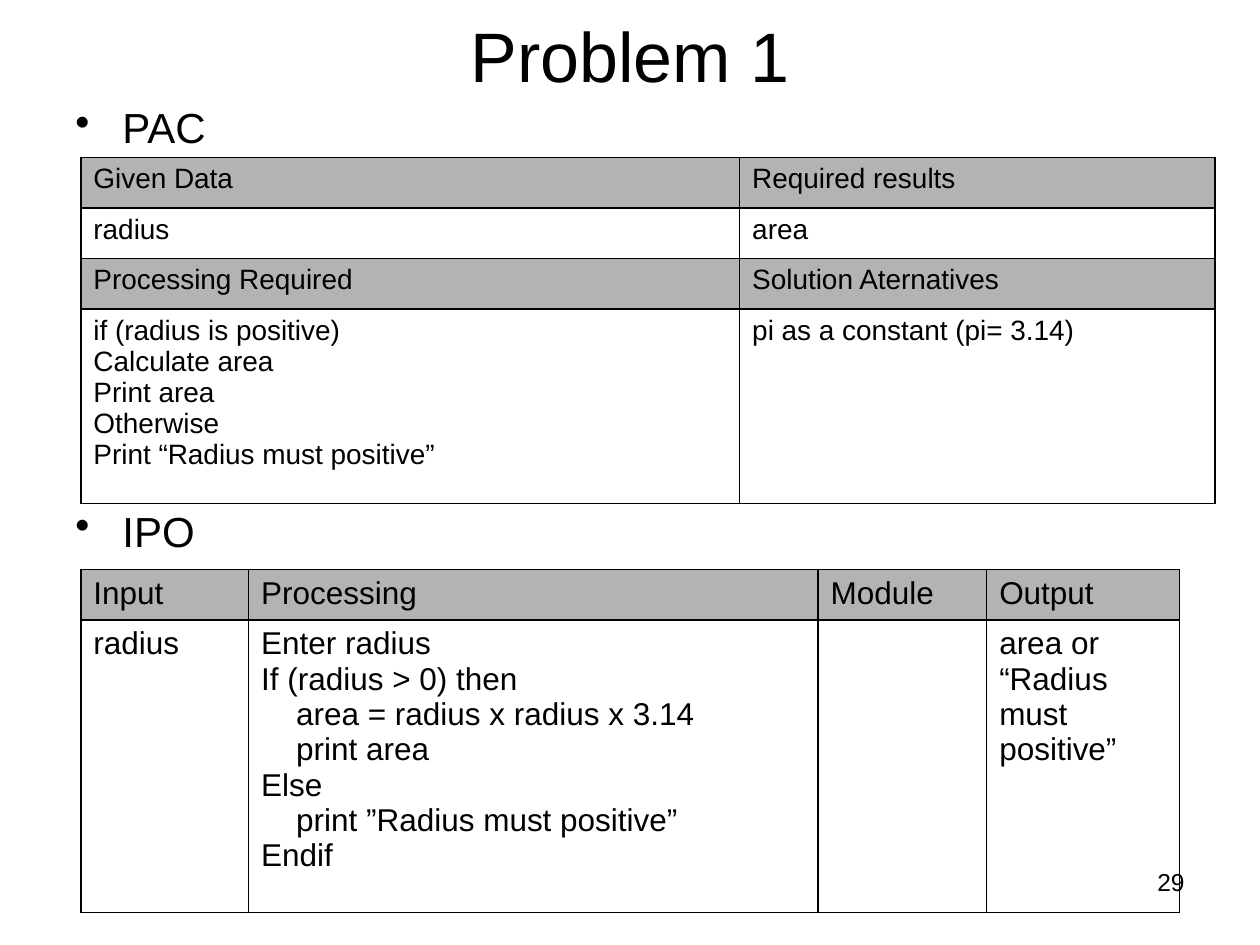
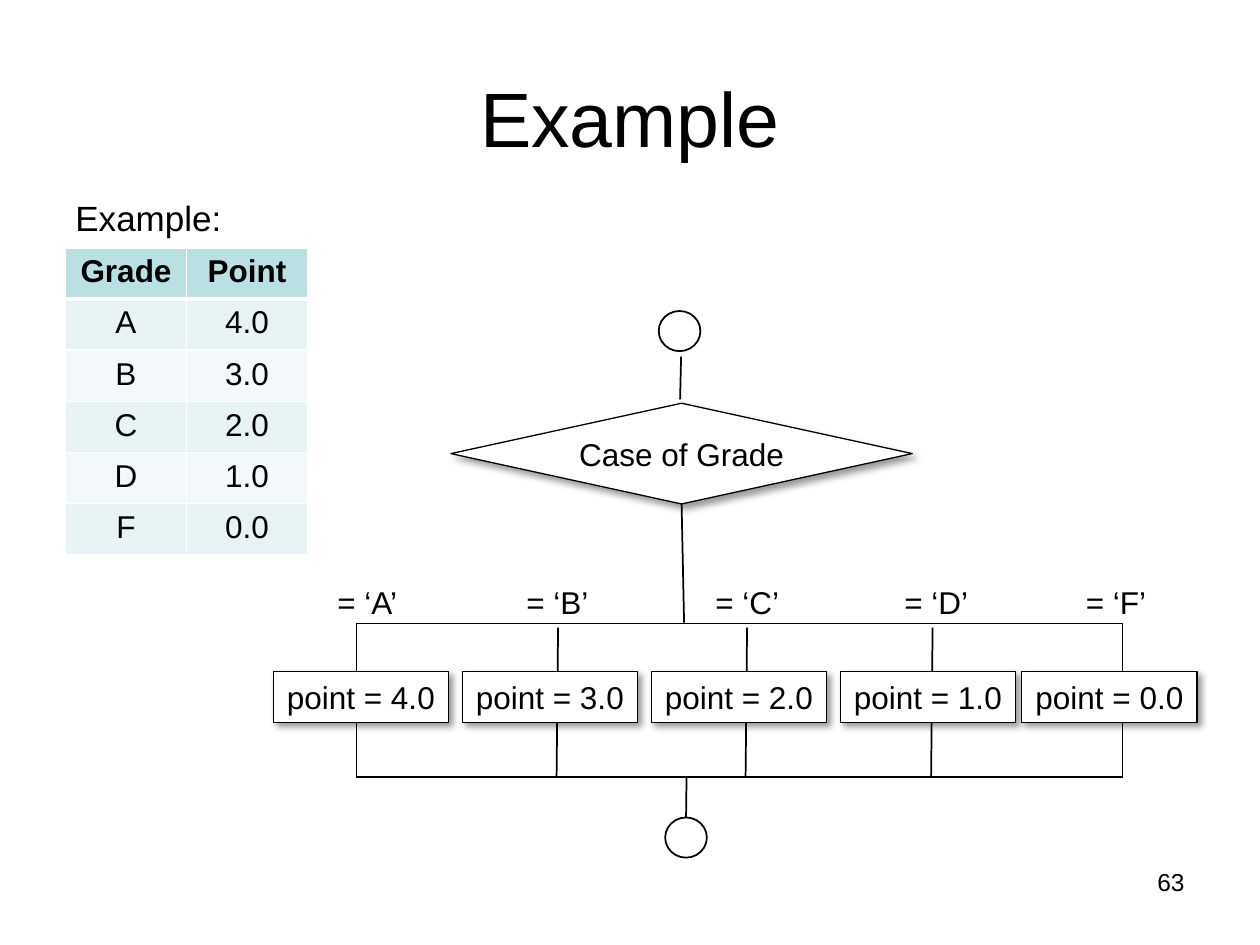
from lxml import etree
from pptx import Presentation
from pptx.dml.color import RGBColor
from pptx.enum.shapes import MSO_CONNECTOR, MSO_SHAPE
from pptx.enum.text import MSO_ANCHOR, MSO_AUTO_SIZE, PP_ALIGN
from pptx.oxml import parse_xml
from pptx.oxml.ns import nsdecls, qn
from pptx.util import Cm, Pt

rgb = RGBColor.from_string
FONT = "Arial"
BLACK = "000000"
WHITE = "FFFFFF"
GREY = "B3B3B3"
TEAL, TEAL_MID, TEAL_PALE = "BBE0E3", "E7F3F4", "F3F9FA"
LEFT, CENTER, RIGHT = PP_ALIGN.LEFT, PP_ALIGN.CENTER, PP_ALIGN.RIGHT


def write(tf, text, size, align=LEFT, bold=False):
    tf.text = text
    for p in tf.paragraphs:
        p.alignment = align
        for r in p.runs:
            r.font.name = FONT
            r.font.size = Pt(size)
            r.font.bold = bold
            r.font.color.rgb = rgb(BLACK)


def add_grid(slide, left, top, widths, heights, rows, fills, size,
             align=LEFT, bold_head=False, edge=BLACK, head_rule=1):
    frame = slide.shapes.add_table(len(rows), len(widths), Cm(left), Cm(top),
                                   Cm(sum(widths)), Cm(sum(heights)))
    table = frame.table
    table.first_row = table.horz_banding = False
    for column, width in zip(table.columns, widths):
        column.width = Cm(width)
    for i, (row, height, fill) in enumerate(zip(rows, heights, fills)):
        table.rows[i].height = Cm(height)
        for j, text in enumerate(row):
            cell = table.cell(i, j)
            write(cell.text_frame, text, size, align, bold_head and i == 0)
            tcPr = cell._tc.get_or_add_tcPr()
            for side in "LRTB":
                on_head_rule = (i, side) in ((0, "B"), (1, "T"))
                width = Pt(head_rule if on_head_rule else 1)
                tcPr.append(parse_xml(
                    f'<a:ln{side} {nsdecls("a")} w="{width}"><a:solidFill>'
                    f'<a:srgbClr val="{edge}"/></a:solidFill></a:ln{side}>'))
            if fill:
                cell.fill.solid()
                cell.fill.fore_color.rgb = rgb(fill)
            else:
                cell.fill.background()


prs = Presentation()
prs.slide_width, prs.slide_height = Cm(25.4), Cm(19.05)

slides = []
for title, top, height, size, number in (("Problem 1", 0.03, 2.13, 40, "29"),
                                         ("Example", 0.76, 3.18, 44, "63")):
    s = prs.slides.add_slide(prs.slide_layouts[5])
    sp = s.shapes.title
    sp.left, sp.top, sp.width, sp.height = Cm(1.27), Cm(top), Cm(22.86), Cm(height)
    tf = sp.text_frame
    tf.auto_size = MSO_AUTO_SIZE.NONE
    tf.vertical_anchor = MSO_ANCHOR.MIDDLE
    write(tf, title, size, CENTER)
    slides.append((s, number))
(problem, _), (example, _) = slides

tf = problem.shapes.add_textbox(Cm(1.27), Cm(1.93), Cm(22.86), Cm(12.57)).text_frame
tf.word_wrap = True
write(tf, "PAC\nIPO", 24)
for p in tf.paragraphs:
    pPr = p._p.get_or_add_pPr()
    pPr.set("marL", str(Cm(0.95)))
    pPr.set("indent", str(Cm(-0.95)))
    etree.SubElement(pPr, qn("a:buChar")).set("char", "•")
tf.paragraphs[1].space_before = Pt(202)

tf = example.shapes.add_textbox(Cm(1.27), Cm(3.84), Cm(15.24), Cm(1.1)).text_frame
tf.word_wrap = True
write(tf, "Example:", 20)

for s, number in slides:
    tf = s.shapes.add_textbox(Cm(18.2), Cm(17.35), Cm(5.93), Cm(1.32)).text_frame
    tf.word_wrap = True
    write(tf, number, 14, RIGHT)

pac_rows = [
    ["Given Data", "Required results"],
    ["radius", "area"],
    ["Processing Required", "Solution Aternatives"],
    ["if (radius is positive)\nCalculate area\nPrint area\nOtherwise\n"
     "Print “Radius must positive”", "pi as a constant (pi= 3.14)"],
]
add_grid(problem, 1.63, 3.17, [13.28, 9.58], [1.02, 1.02, 1.02, 3.92], pac_rows,
         [GREY, None, GREY, None], 16)

ipo_rows = [
    ["Input", "Processing", "Module", "Output"],
    ["radius",
     "Enter radius\nIf (radius > 0) then\n    area = radius x radius x 3.14\n"
     "    print area\nElse\n    print ”Radius must positive”\nEndif",
     "", "area or “Radius must positive”"],
]
add_grid(problem, 1.63, 11.48, [3.38, 11.48, 3.4, 3.89], [1.02, 5.89], ipo_rows,
         [GREY, None], 18)

grades = [("A", "4.0"), ("B", "3.0"), ("C", "2.0"), ("D", "1.0"), ("F", "0.0")]
add_grid(example, 1.32, 5, [2.44] * 2, [1.03] * 6, [("Grade", "Point")] + grades,
         [TEAL] + [TEAL_MID, TEAL_PALE] * 2 + [TEAL_MID], 18, CENTER, True, WHITE, 3)

lines = [((x, 12.65), (x - 0.03, 15.65)) for x in (11.25, 15.06, 18.8)]
lines += [((13.74, 10.16), (13.79, 12.55)),
          ((13.84, 15.65), (13.83, 16.48)),
          ((13.73, 7.19), (13.71, 8.05))]
connectors = []
for start, end in lines:
    c = example.shapes.add_connector(MSO_CONNECTOR.STRAIGHT, *map(Cm, start + end))
    c.line.color.rgb = rgb(BLACK)
    c.line.width = Pt(1)
    etree.SubElement(c._element.spPr, qn("a:effectLst"))
    connectors.append(c)

box_lefts = [5.51 + 3.81 * i for i in range(4)] + [20.6]
flow = [
    (MSO_SHAPE.DIAMOND, 9.09, 8.13, 9.3, 2.03, "Case of Grade"),
    (MSO_SHAPE.RECTANGLE, 7.19, 12.57, 15.44, 3.1, ""),
    (MSO_SHAPE.OVAL, 13.28, 6.27, 0.84, 0.81, ""),
    (MSO_SHAPE.OVAL, 13.41, 16.48, 0.84, 0.81, ""),
]
flow += [(MSO_SHAPE.RECTANGLE, x, 13.54, 3.53, 1.02, f"point = {point}")
         for x, (_, point) in zip(box_lefts, grades)]
shapes = []
for kind, x, y, w, h, text in flow:
    sp = example.shapes.add_shape(kind, Cm(x), Cm(y), Cm(w), Cm(h))
    sp.shadow.inherit = False
    sp.line.color.rgb = rgb(BLACK)
    sp.line.width = Pt(0.75 if text else 1)
    if kind == MSO_SHAPE.RECTANGLE and not text:
        sp.fill.background()
    else:
        sp.fill.solid()
        sp.fill.fore_color.rgb = rgb(WHITE)
    if text:
        sp.text_frame.word_wrap = False
        write(sp.text_frame, text, 18, CENTER)
        sp._element.spPr.find(qn("a:effectLst")).append(parse_xml(
            f'<a:outerShdw {nsdecls("a")} blurRad="{Pt(4)}" dist="{Pt(3)}" '
            'dir="2700000" algn="tl" rotWithShape="0"><a:srgbClr val="000000">'
            '<a:alpha val="40000"/></a:srgbClr></a:outerShdw>'))
    shapes.append(sp)

diamond, end_circle = shapes[0], shapes[3]
connectors[3].begin_connect(diamond, 2)
connectors[4].end_connect(end_circle, 0)

for x, (grade, _) in zip(box_lefts, grades):
    tf = example.shapes.add_textbox(Cm(x + 1.04), Cm(11.63), Cm(1.8), Cm(1.02)).text_frame
    tf.word_wrap = False
    write(tf, f"= ‘{grade}’", 18)

prs.save("out.pptx")
